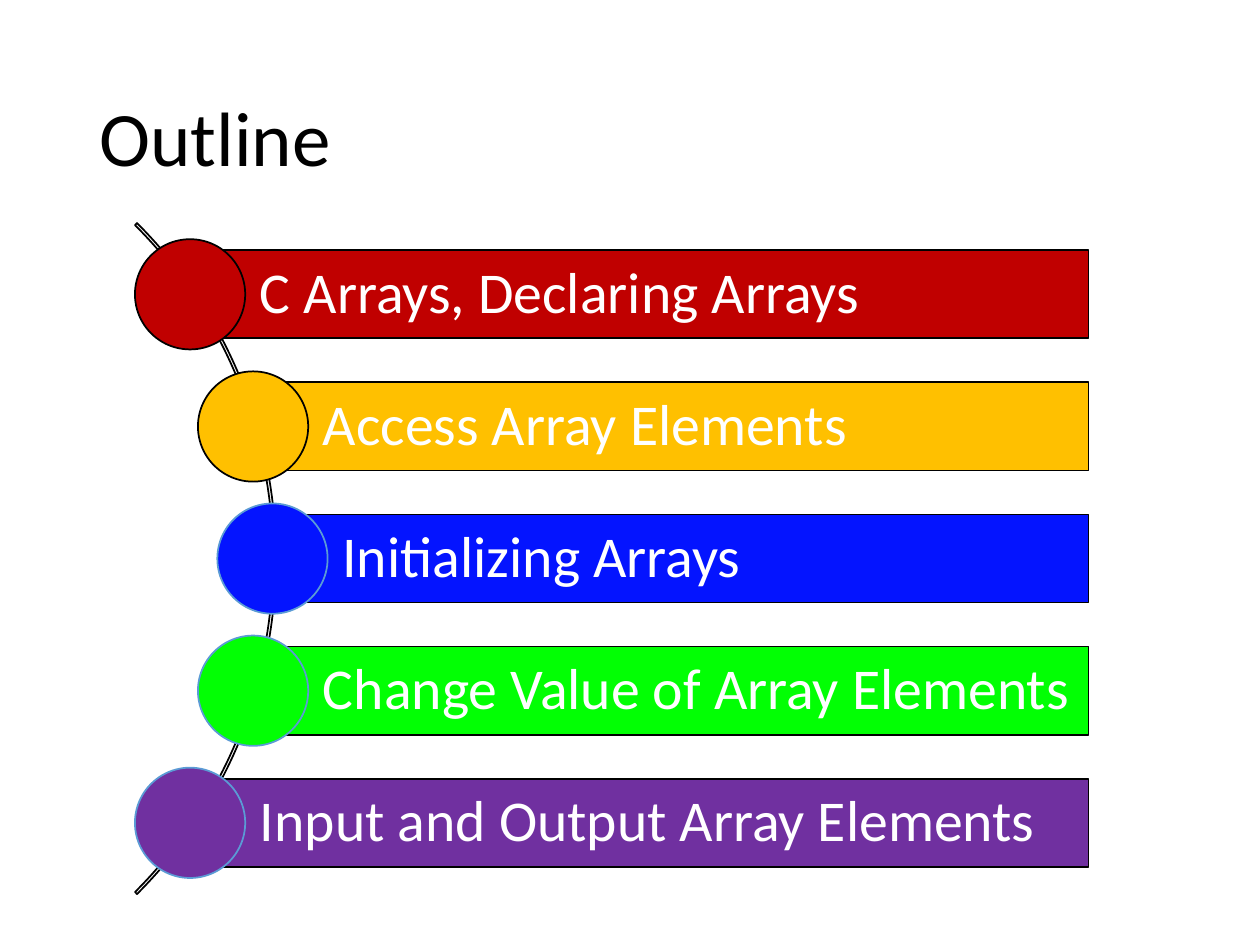
"""Build the outline slide: five topic bars strung along an arc."""
import pptx
import pptx.util
import pptx.dml.color
import pptx.enum.shapes
import pptx.enum.text

Pt = pptx.util.Pt
RGBColor = pptx.dml.color.RGBColor
MSO_SHAPE = pptx.enum.shapes.MSO_SHAPE

BLACK = RGBColor(0x00, 0x00, 0x00)
WHITE = RGBColor(0xFF, 0xFF, 0xFF)
RED = RGBColor(0xC0, 0x00, 0x00)
AMBER = RGBColor(0xFF, 0xC0, 0x00)
BLUE = RGBColor(0x04, 0x14, 0xFF)
GREEN = RGBColor(0x02, 0xFF, 0x04)
PURPLE = RGBColor(0x70, 0x30, 0xA0)
SKY = RGBColor(0x5B, 0x9B, 0xD5)

TOPICS = [
    ("C Arrays, Declaring Arrays", 108.6, RED, BLACK),
    ("Access Array Elements", 144.6, AMBER, BLACK),
    ("Initializing Arrays", 155.7, BLUE, SKY),
    ("Change Value of Array Elements", 144.6, GREEN, SKY),
    ("Input and Output Array Elements", 108.6, PURPLE, SKY),
]
MIDDLE_Y = 319.2
PITCH = 75.5
BAR_RIGHT = 622
BAR_HEIGHT = 50.4
DOT = 63
ARC = 542.2


def write(sp, text, size, color, font="Calibri", margins=(7.2, 3.6, 7.2, 3.6)):
    tf = sp.text_frame
    tf.word_wrap = True
    tf.auto_size = pptx.enum.text.MSO_AUTO_SIZE.NONE
    tf.vertical_anchor = pptx.enum.text.MSO_ANCHOR.MIDDLE
    tf.margin_left, tf.margin_top, tf.margin_right, tf.margin_bottom = map(Pt, margins)
    p = tf.paragraphs[0]
    p.alignment = pptx.enum.text.PP_ALIGN.LEFT
    p.line_spacing = 0.9
    r = p.add_run()
    r.text = text
    r.font.name = font
    r.font.size = Pt(size)
    r.font.color.rgb = color


class OutlineSlide:
    def __init__(self, s, line_width=1):
        self.s = s
        self.line_width = line_width

    def title(self, text, x, y, w, h):
        sp = self.s.shapes.title
        sp.left, sp.top, sp.width, sp.height = map(Pt, (x, y, w, h))
        write(sp, text, 44, BLACK)

    def shape(self, kind, x, y, w, h, line, fill=None):
        sp = self.s.shapes.add_shape(kind, Pt(x), Pt(y), Pt(w), Pt(h))
        sp.shadow.inherit = False
        if fill is None:
            sp.fill.background()
        else:
            sp.fill.solid()
            sp.fill.fore_color.rgb = fill
        sp.line.color.rgb = line
        sp.line.width = Pt(self.line_width)
        return sp

    def arc(self, x, y, size):
        sp = self.shape(MSO_SHAPE.BLOCK_ARC, x, y, size, size, BLACK)
        for i, value in enumerate((189, 27, 0.003)):
            sp.adjustments[i] = value

    def topic(self, text, x, y, fill, dot_line):
        bar = self.shape(MSO_SHAPE.RECTANGLE, x, y - BAR_HEIGHT / 2,
                         BAR_RIGHT - x, BAR_HEIGHT, BLACK, fill)
        write(bar, text, 33, WHITE, margins=(40, 6.5, 6.5, 6.5))
        self.shape(MSO_SHAPE.OVAL, x - DOT / 2, y - DOT / 2, DOT, DOT, dot_line, fill)


def main():
    prs = pptx.Presentation()
    prs.slide_width, prs.slide_height = Pt(720), Pt(540)
    slide = OutlineSlide(prs.slides.add_slide(prs.slide_layouts[5]))
    slide.title("Outline", 49.5, 28.75, 621, 104.4)
    slide.arc(-384.5, MIDDLE_Y - ARC / 2, ARC)
    for i, (text, x, fill, dot_line) in enumerate(TOPICS):
        slide.topic(text, x, MIDDLE_Y + (i - 2) * PITCH, fill, dot_line)
    prs.save("out.pptx")


if __name__ == "__main__":
    main()
